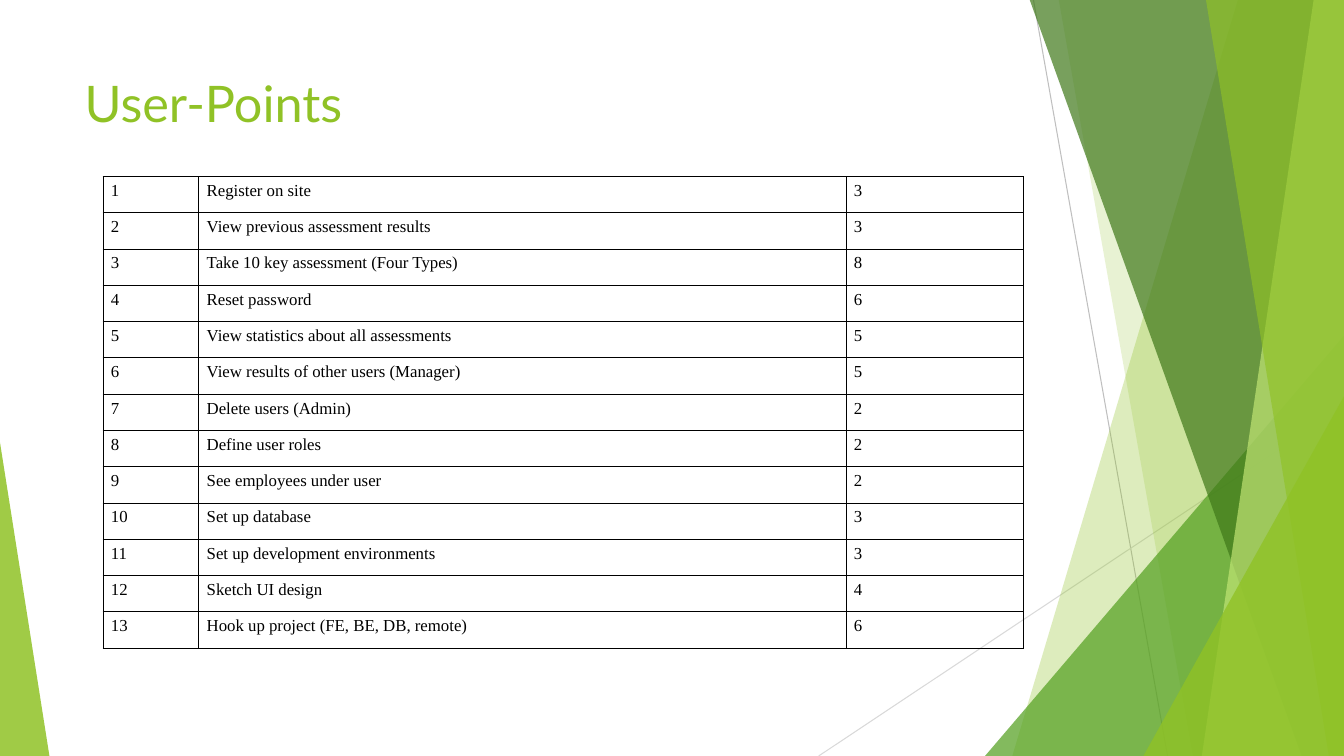
import pptx
import pptx.dml.color
import pptx.enum.shapes
import pptx.enum.text
import pptx.oxml
import pptx.oxml.ns
import pptx.util
from pptx.util import Inches

WIDTH, HEIGHT = 13.33, 7.5
FACET_TOP = -0.01
TITLE = "User-Points"
TITLE_BOX = (0.74, 0.67, 9.4, 0.92)
STORIES = [
    ("Register on site", 3),
    ("View previous assessment results", 3),
    ("Take 10 key assessment (Four Types)", 8),
    ("Reset password", 6),
    ("View statistics about all assessments", 5),
    ("View results of other users (Manager)", 5),
    ("Delete users (Admin)", 2),
    ("Define user roles", 2),
    ("See employees under user", 2),
    ("Set up database", 3),
    ("Set up development environments", 3),
    ("Sketch UI design", 4),
    ("Hook up project (FE, BE, DB, remote)", 6),
]
TABLE_LEFT, TABLE_TOP = 1.02, 1.75
COLUMN_WIDTHS = (0.95, 6.42, 1.76)
ROW_HEIGHT = 0.36

RULES = [
    ((10.25, 0), (11.58, HEIGHT), "BFBFBF"),
    ((WIDTH, 4.03), (8.12, HEIGHT), "D9D9D9"),
]
FACETS = [
    ("band", (12.28, 10.04), "90C226", 30),
    ("band", (10.5, 11.83), "90C226", 20),
    ("triangle", (9.77, 3.33, 3.56, 1), "54A021", 72),
    ("band", (10.21, 12.91), "3F7819", 70),
    ("band", (13.03, 11.92), "C0E474", 70),
    ("band", (11.96, 13.18), "90C226", 65),
    ("triangle", (11.34, 3.93, 1.99, 1), "90C226", 80),
    ("triangle", (0, 4.39, 0.49, 0), "90C226", 85),
]


def color(value):
    return pptx.dml.color.RGBColor.from_string(value)


def style_text(frame, font, size, value):
    for para in frame.paragraphs:
        for span in para.runs:
            span.font.name = font
            span.font.size = pptx.util.Pt(size)
            span.font.color.rgb = color(value)


def add_rule(page, start, end, value):
    rule = page.shapes.add_connector(
        pptx.enum.shapes.MSO_CONNECTOR.STRAIGHT, *map(Inches, start + end))
    rule.line.color.rgb = color(value)
    rule.line.width = pptx.util.Pt(0.75)
    properties = rule._element.spPr
    properties.append(pptx.oxml.parse_xml(
        f'<a:effectLst {pptx.oxml.ns.nsdecls("a")}/>'))


def add_band(page, top_x, bottom_x):
    builder = page.shapes.build_freeform(
        Inches(top_x), Inches(FACET_TOP), scale=1.0)
    corners = [(WIDTH, FACET_TOP), (WIDTH, HEIGHT), (bottom_x, HEIGHT)]
    builder.add_line_segments(
        [(Inches(x), Inches(y)) for x, y in corners], close=True)
    return builder.convert_to_shape()


def add_triangle(page, left, top, width, apex):
    triangle = page.shapes.add_shape(
        pptx.enum.shapes.MSO_SHAPE.ISOSCELES_TRIANGLE,
        Inches(left), Inches(top), Inches(width), Inches(HEIGHT - top))
    triangle.adjustments[0] = apex
    return triangle


def add_facet(page, kind, geometry, value, opacity):
    draw = {"band": add_band, "triangle": add_triangle}[kind]
    facet = draw(page, *geometry)
    facet.shadow.inherit = False
    facet.line.fill.background()
    facet.fill.solid()
    facet.fill.fore_color.rgb = color(value)
    tint = facet.fill._xPr.find(".//" + pptx.oxml.ns.qn("a:srgbClr"))
    tint.append(pptx.oxml.parse_xml(
        f'<a:alpha {pptx.oxml.ns.nsdecls("a")} val="{opacity * 1000}"/>'))


def add_title(page):
    title = page.shapes.title
    title.left, title.top, title.width, title.height = map(Inches, TITLE_BOX)
    frame = title.text_frame
    frame.text = TITLE
    frame.word_wrap = True
    frame.vertical_anchor = pptx.enum.text.MSO_ANCHOR.TOP
    frame.paragraphs[0].alignment = pptx.enum.text.PP_ALIGN.LEFT
    style_text(frame, "Lato", 36, "90C226")


def format_cell(cell):
    cell.margin_left = cell.margin_right = Inches(0.08)
    cell.margin_top = cell.margin_bottom = Inches(0.05)
    style_text(cell.text_frame, "Times New Roman", 12, "000000")
    properties = cell._tc.get_or_add_tcPr()
    for side in ("lnL", "lnR", "lnT", "lnB"):
        properties.append(pptx.oxml.parse_xml(
            f'<a:{side} {pptx.oxml.ns.nsdecls("a")} w="6350"><a:solidFill>'
            f'<a:srgbClr val="000000"/></a:solidFill></a:{side}>'))
    cell.fill.background()


def add_points_table(page):
    table = page.shapes.add_table(
        len(STORIES), len(COLUMN_WIDTHS), Inches(TABLE_LEFT), Inches(TABLE_TOP),
        Inches(sum(COLUMN_WIDTHS)), Inches(ROW_HEIGHT * len(STORIES))).table
    table.first_row = table.horz_banding = False
    for column, width in zip(table.columns, COLUMN_WIDTHS):
        column.width = Inches(width)
    for number, (story, points) in enumerate(STORIES, 1):
        row = table.rows[number - 1]
        row.height = Inches(ROW_HEIGHT)
        for cell, value in zip(row.cells, (number, story, points)):
            cell.text = str(value)
            format_cell(cell)


def main():
    deck = pptx.Presentation()
    deck.slide_width, deck.slide_height = Inches(WIDTH), Inches(HEIGHT)
    page = deck.slides.add_slide(deck.slide_layouts[5])
    for rule in RULES:
        add_rule(page, *rule)
    for facet in FACETS:
        add_facet(page, *facet)
    add_title(page)
    add_points_table(page)
    deck.save("out.pptx")


if __name__ == "__main__":
    main()
